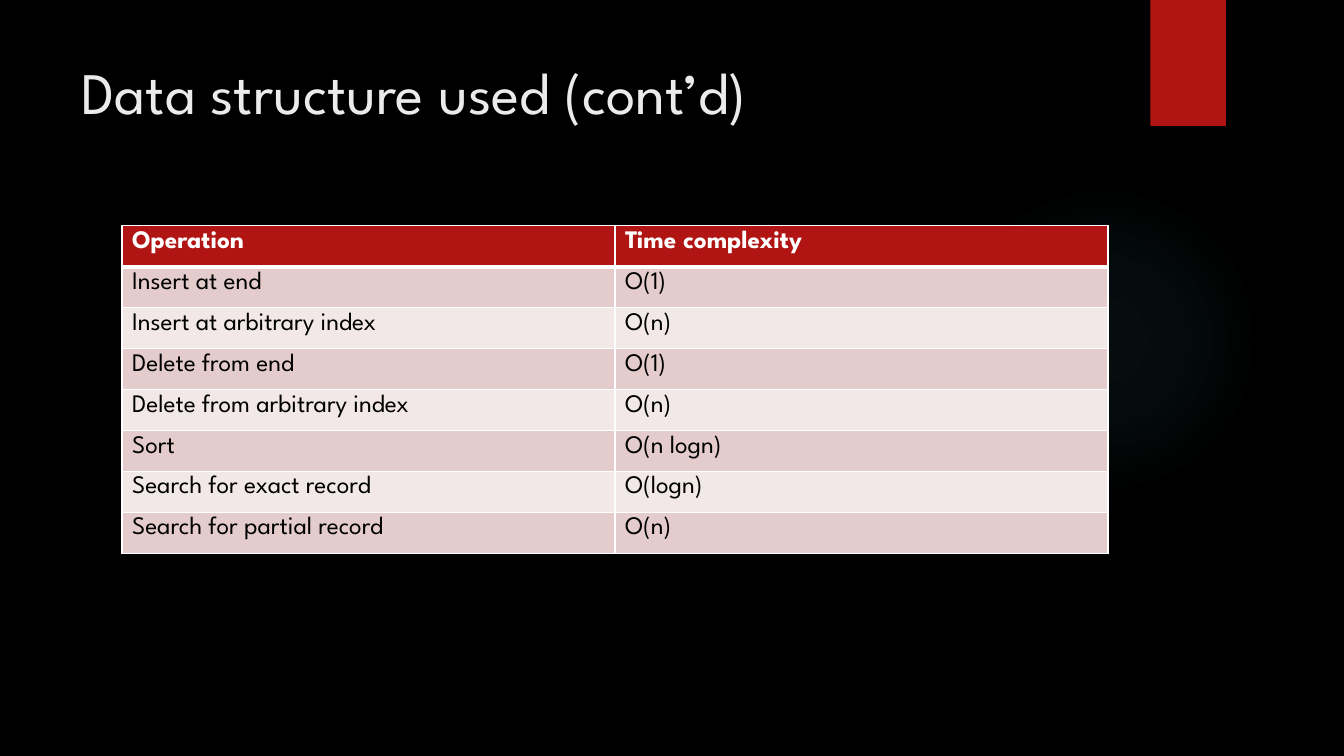
from lxml import etree
from pptx import Presentation
from pptx.dml.color import RGBColor
from pptx.enum.shapes import MSO_SHAPE
from pptx.enum.text import MSO_ANCHOR, PP_ALIGN
from pptx.oxml import parse_xml
from pptx.oxml.ns import nsdecls, qn
from pptx.util import Inches, Pt

OVAL, RECT = MSO_SHAPE.OVAL, MSO_SHAPE.RECTANGLE
TOP, LEFT = MSO_ANCHOR.TOP, PP_ALIGN.LEFT
BLACK = RGBColor(0x00, 0x00, 0x00)
WHITE = RGBColor(0xFF, 0xFF, 0xFF)
PALE = RGBColor(0xEB, 0xEB, 0xEB)
RED = RGBColor(0xB0, 0x15, 0x13)
ROSE = RGBColor(0xE4, 0xCC, 0xCC)
BLUSH = RGBColor(0xF2, 0xE8, 0xE7)
TEAL = RGBColor(0x50, 0xB9, 0xC1)
FONT = "League Spartan"
WIDE, HIGH = Inches(13.33), Inches(7.5)
STOPS = [(0, 7), (36, 6), (69, 0)]
ROWS = [
    ("Operation", "Time complexity"),
    ("Insert at end", "O(1)"),
    ("Insert at arbitrary index", "O(n)"),
    ("Delete from end", "O(1)"),
    ("Delete from arbitrary index", "O(n)"),
    ("Sort", "O(n logn)"),
    ("Search for exact record", "O(logn)"),
    ("Search for partial record", "O(n)"),
]


def inch(*sizes):
    return [Inches(size) for size in sizes]


def write(frame, text, size, color, bold=False):
    para = frame.paragraphs[0]
    para.alignment = LEFT
    run = para.add_run()
    run.text = text
    font = run.font
    font.name, font.size, font.bold = FONT, Pt(size), bold
    font.color.rgb = color


def block(slide, kind, box):
    shape = slide.shapes.add_shape(kind, *box)
    shape.shadow.inherit = False
    shape.line.fill.background()
    return shape


def add_glow(slide, box):
    glow = block(slide, OVAL, box)
    stops = "".join(
        f'<a:gs pos="{pos * 1000}"><a:srgbClr val="{TEAL}">'
        f'<a:alpha val="{alpha * 1000}"/></a:srgbClr></a:gs>'
        for pos, alpha in STOPS)
    fill = parse_xml(
        f'<a:gradFill {nsdecls("a")} rotWithShape="1"><a:gsLst>{stops}</a:gsLst>'
        '<a:path path="circle"><a:fillToRect l="50000" t="50000" r="50000" '
        'b="50000"/></a:path></a:gradFill>')
    glow.element.spPr.find(qn("a:prstGeom")).addnext(fill)


def add_tab(slide, box):
    tab = block(slide, RECT, box)
    tab.fill.solid()
    tab.fill.fore_color.rgb = RED


def add_title(slide, box, text):
    title = slide.shapes.title
    title.left, title.top, title.width, title.height = box
    frame = title.text_frame
    frame.word_wrap = True
    frame.vertical_anchor = TOP
    write(frame, text, 42, PALE)


def edge(cell, sides):
    props = cell._tc.get_or_add_tcPr()
    for spot, (side, width) in enumerate(sides.items()):
        line = etree.Element(qn(f"a:ln{side}"), w=str(Pt(width)))
        fill = etree.SubElement(line, qn("a:solidFill"))
        etree.SubElement(fill, qn("a:srgbClr"), val=str(WHITE))
        props.insert(spot, line)


def add_grid(slide, box, rows):
    left, top, width, height = box
    grid = slide.shapes.add_table(len(rows), len(rows[0]), *box).table
    for col in grid.columns:
        col.width = width // len(rows[0])
    for r, texts in enumerate(rows):
        grid.rows[r].height = height // len(rows)
        head = r == 0
        shade = RED if head else ROSE if r % 2 else BLUSH
        for c, text in enumerate(texts):
            cell = grid.cell(r, c)
            cell.fill.solid()
            cell.fill.fore_color.rgb = shade
            edge(cell, {"L": 1, "R": 1, "T": 3 if r == 1 else 1,
                        "B": 3 if head else 1})
            write(cell.text_frame, text, 18, WHITE if head else BLACK, head)


def main():
    deck = Presentation()
    deck.slide_width, deck.slide_height = WIDE, HIGH
    slide = deck.slides.add_slide(deck.slide_layouts[5])
    back = slide.background.fill
    back.solid()
    back.fore_color.rgb = BLACK
    add_glow(slide, inch(9.41, 1.83, 3.08, 3.08))
    add_tab(slide, inch(11.41, 0, 0.75, 1.25))
    add_title(slide, inch(0.71, 0.5, 10.29, 1.53), "Data structure used (cont’d)")
    add_grid(slide, inch(1.21, 2.24, 9.78, 3.25), ROWS)
    deck.save("out.pptx")


main()
